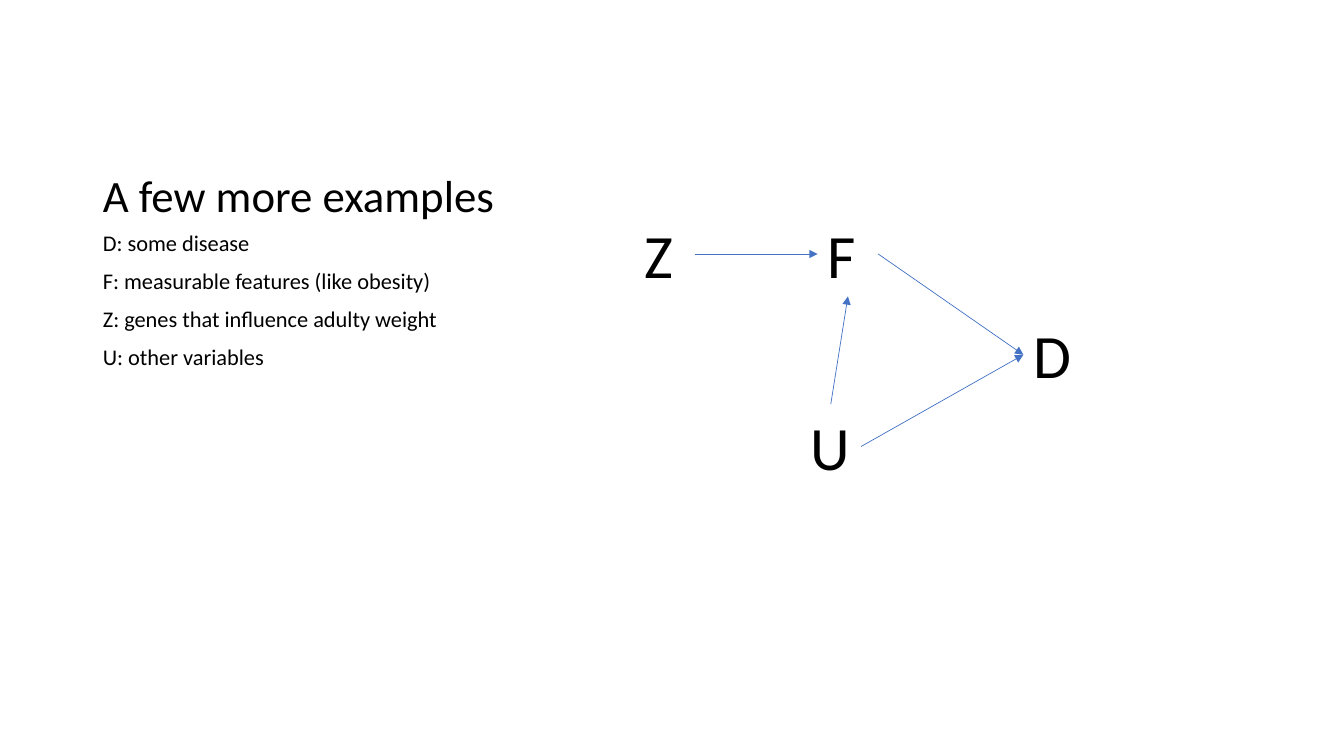
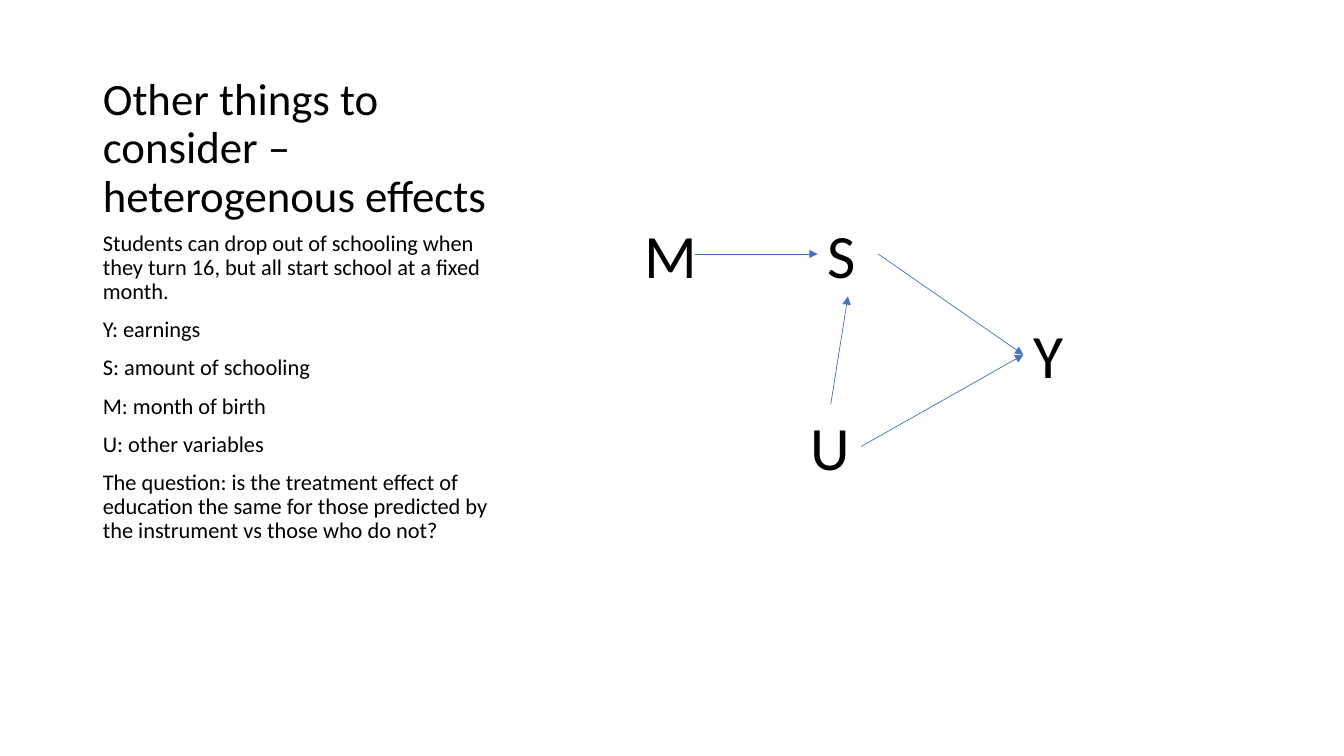
from dataclasses import dataclass

from lxml import etree
from pptx import Presentation
from pptx.dml.color import RGBColor
from pptx.enum.shapes import MSO_CONNECTOR
from pptx.enum.text import MSO_ANCHOR, MSO_AUTO_SIZE, PP_ALIGN
from pptx.oxml.ns import qn
from pptx.util import Inches, Pt

BLACK = RGBColor(0x00, 0x00, 0x00)
BLUE = RGBColor(0x44, 0x72, 0xC4)
FONT = "Calibri"
STRAIGHT = MSO_CONNECTOR.STRAIGHT
LEFT = PP_ALIGN.LEFT
HIGH, LOW = MSO_ANCHOR.TOP, MSO_ANCHOR.BOTTOM
FIXED, GROW = MSO_AUTO_SIZE.NONE, MSO_AUTO_SIZE.SHAPE_TO_FIT_TEXT
TOP_SIDE, LEFT_SIDE, BASE_SIDE, RIGHT_SIDE = range(4)

MARGIN = 0.92
COLUMN = 4.3
NODE_WIDTH, NODE_HEIGHT = 0.6, 0.84


@dataclass(frozen=True)
class Node:
    role: str
    left: float
    top: float


@dataclass(frozen=True)
class Arrow:
    start: str
    start_side: int
    end: str
    end_side: int


@dataclass(frozen=True)
class Page:
    title: str
    lines: list[str]
    labels: dict[str, str]


NODES = [
    Node("cause", 8.11, 2.1),
    Node("hidden", 7.94, 4.01),
    Node("effect", 10.15, 3.1),
    Node("source", 6.29, 2.1),
]

ARROWS = [
    Arrow("source", RIGHT_SIDE, "cause", LEFT_SIDE),
    Arrow("cause", RIGHT_SIDE, "effect", LEFT_SIDE),
    Arrow("hidden", RIGHT_SIDE, "effect", LEFT_SIDE),
    Arrow("hidden", TOP_SIDE, "cause", BASE_SIDE),
]

PAGES = [
    Page(
        "A few more examples",
        [
            "D: some disease",
            "F: measurable features (like obesity)",
            "Z: genes that influence adulty weight",
            "U: other variables",
        ],
        {"cause": "F", "hidden": "U", "effect": "D", "source": "Z"},
    ),
    Page(
        "Other things to consider – heterogenous effects",
        [
            "Students can drop out of schooling when they turn 16, "
            "but all start school at a fixed month.",
            "Y: earnings",
            "S: amount of schooling",
            "M: month of birth",
            "U: other variables",
            "The question: is the treatment effect of education the same "
            "for those predicted by the instrument vs those who do not?",
        ],
        {"cause": "S", "hidden": "U", "effect": "Y", "source": "M"},
    ),
]


def place(shape, left: float, top: float, width: float, height: float) -> None:
    shape.left, shape.top = Inches(left), Inches(top)
    shape.width, shape.height = Inches(width), Inches(height)


def write(shape, lines: list[str], *, size: float, spacing: float = 1.0,
          before: float = 0, anchor=HIGH, fit=FIXED, plain: bool = False) -> None:
    frame = shape.text_frame
    frame.text = "\n".join(lines)
    frame.word_wrap = True
    frame.auto_size = fit
    frame.vertical_anchor = anchor
    for para in frame.paragraphs:
        para.alignment = LEFT
        para.line_spacing = spacing
        para.space_before = Pt(before)
        for run in para.runs:
            run.font.name = FONT
            run.font.size = Pt(size)
            run.font.color.rgb = BLACK
        if plain:
            props = para._p.get_or_add_pPr()
            props.set("marL", "0")
            props.set("indent", "0")
            etree.SubElement(props, qn("a:buNone"))


def draw_node(slide, node: Node, label: str):
    box = slide.shapes.add_textbox(0, 0, 0, 0)
    place(box, node.left, node.top, NODE_WIDTH, NODE_HEIGHT)
    write(box, [label], size=44, fit=GROW)
    return box


def draw_arrow(slide, arrow: Arrow, boxes: dict) -> None:
    line = slide.shapes.add_connector(STRAIGHT, 0, 0, 0, 0)
    line.begin_connect(boxes[arrow.start], arrow.start_side)
    line.end_connect(boxes[arrow.end], arrow.end_side)
    line.line.color.rgb = BLUE
    line.line.width = Pt(0.5)
    props = line._element.spPr
    etree.SubElement(props.find(qn("a:ln")), qn("a:tailEnd"), type="triangle")
    etree.SubElement(props, qn("a:effectLst"))


def draw_page(deck, page: Page) -> None:
    slide = deck.slides.add_slide(deck.slide_layouts[1])
    title, body = slide.shapes.title, slide.placeholders[1]
    place(title, MARGIN, 0.5, COLUMN, 1.75)
    write(title, [page.title], size=32, spacing=0.9, anchor=LOW)
    place(body, MARGIN, 2.25, COLUMN, 4.17)
    write(body, page.lines, size=16, spacing=0.9, before=10, plain=True)
    boxes = {node.role: draw_node(slide, node, page.labels[node.role])
             for node in NODES}
    for arrow in ARROWS:
        draw_arrow(slide, arrow, boxes)


def main() -> None:
    deck = Presentation()
    deck.slide_width, deck.slide_height = Inches(13.33), Inches(7.5)
    for page in PAGES:
        draw_page(deck, page)
    deck.save("out.pptx")


if __name__ == "__main__":
    main()
